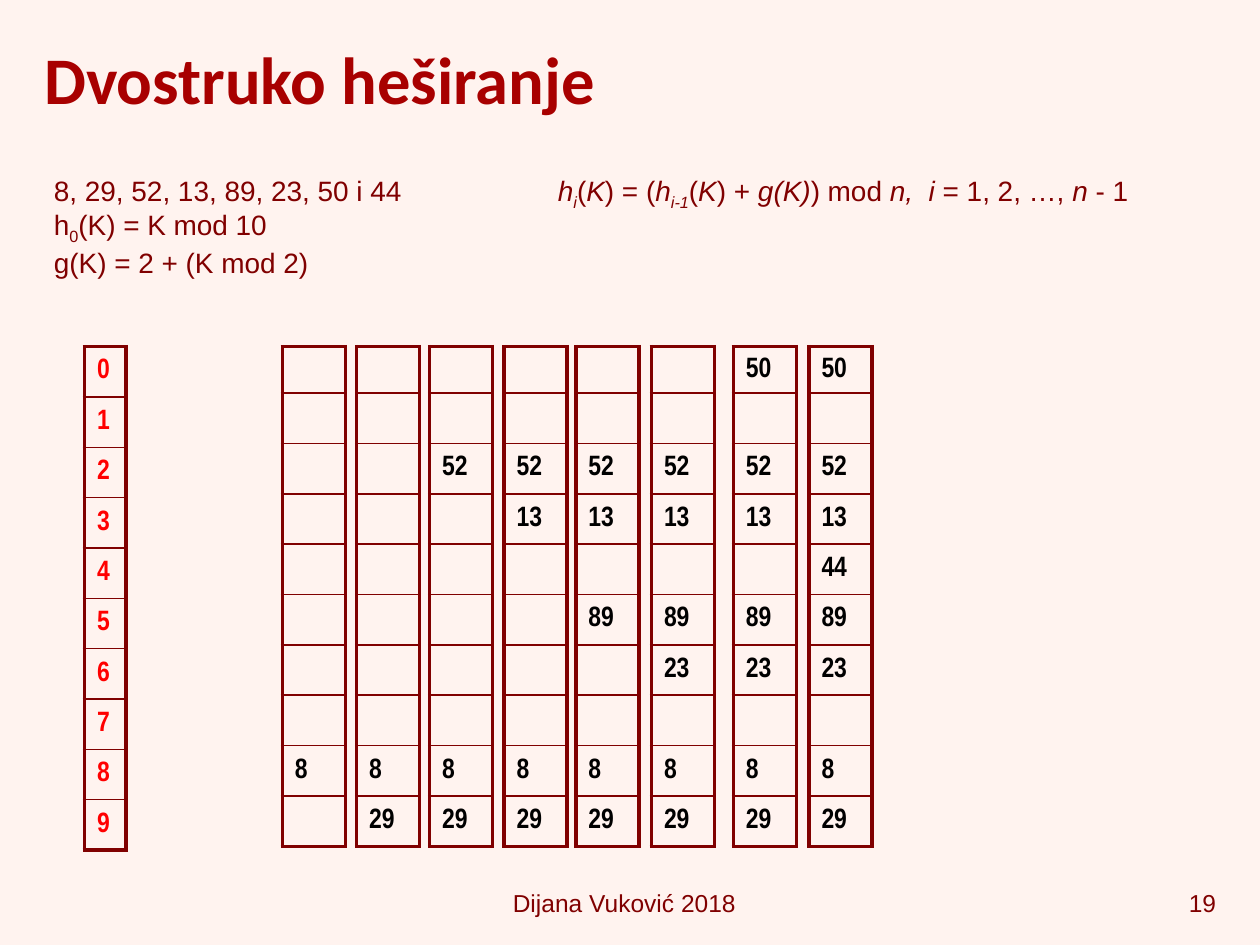
from lxml import etree
from pptx import Presentation
from pptx.dml.color import RGBColor as RGB
from pptx.enum.text import MSO_ANCHOR as Anchor, PP_ALIGN as Align
from pptx.oxml.ns import qn
from pptx.util import Inches, Pt

PAPER = RGB(0xFF, 0xF3, 0xEF)
MAROON = RGB(0x80, 0x00, 0x00)
CRIMSON = RGB(0xA8, 0x00, 0x00)
RED = RGB(0xFF, 0x00, 0x00)
BLACK = RGB(0x00, 0x00, 0x00)

WIDE, HIGH = Inches(10), Inches(7.5)
SIZE = 10
KEYS = [8, 29, 52, 13, 89, 23, 50, 44]
LEFTS = [22.4, 28.3, 34.1, 40, 45.7, 51.7, 58.2, 64.2]
TOP = 36.67
ROW = 5.33
THICK, THIN = 2.25, 1

FORMULA = [
    ("h", "i"), ("i", "is"), ("(", ""), ("K", "i"), (") = (", ""),
    ("h", "i"), ("i-1", "is"), ("(", ""), ("K", "i"), (") + ", ""),
    ("g(K)", "i"), (") mod ", ""), ("n,  i", "i"),
    (" = 1, 2, …, ", ""), ("n ", "i"), ("- 1", ""),
]
RULES = [
    [(", ".join(map(str, KEYS[:-1])) + f" i {KEYS[-1]}", "")],
    [("h", ""), ("0", "s"), ("(K) = K mod 10", "")],
    [("g(K) = 2 + (K mod 2)", "")],
]


def across(share):
    return round(WIDE * share / 100)


def down(share):
    return round(HIGH * share / 100)


def area(x, y, w, h):
    return across(x), down(y), across(w), down(h)


def add_run(para, text, face, size, color, style=""):
    run = para.add_run()
    run.text = text
    font = run.font
    font.name, font.size = face, Pt(size)
    font.color.rgb = color
    font.bold = "b" in style
    font.italic = "i" in style
    if "s" in style:
        run._r.get_or_add_rPr().set("baseline", "-25000")


def add_text(slide, place, lines, size=16, align=Align.LEFT):
    frame = slide.shapes.add_textbox(*area(*place)).text_frame
    frame.word_wrap = True
    for i, line in enumerate(lines):
        para = frame.add_paragraph() if i else frame.paragraphs[0]
        para.alignment = align
        for text, style in line:
            add_run(para, text, "Arial", size, MAROON, style)


def add_title(slide, text):
    title = slide.shapes.title
    title.left, title.top, title.width, title.height = area(2.5, 1.07, 95, 14.4)
    frame = title.text_frame
    frame.vertical_anchor = Anchor.MIDDLE
    para = frame.paragraphs[0]
    para.alignment = Align.LEFT
    add_run(para, text, "Calibri", 38, CRIMSON, "b")


def add_edges(cell, top, base):
    props = cell._tc.get_or_add_tcPr()
    for side, width in zip("LRTB", (THICK, THICK, top, base)):
        line = etree.SubElement(props, qn(f"a:ln{side}"), w=str(Pt(width)))
        fill = etree.SubElement(line, qn("a:solidFill"))
        etree.SubElement(fill, qn("a:srgbClr"), val=str(MAROON))


def add_column(slide, left, width, slots, color, first):
    tall = first + ROW * (SIZE - 1)
    place = area(left, TOP, width, tall)
    table = slide.shapes.add_table(SIZE, 1, *place).table
    table.first_row = table.horz_banding = False
    for i, value in enumerate(slots):
        table.rows[i].height = down(ROW if i else first)
        cell = table.cell(i, 0)
        cell.margin_top = cell.margin_bottom = Inches(0.03)
        cell.vertical_anchor = Anchor.MIDDLE
        add_edges(cell, THIN if i else THICK, THICK if i == SIZE - 1 else THIN)
        cell.fill.background()
        if value is not None:
            para = cell.text_frame.paragraphs[0]
            add_run(para, str(value), "Arial Narrow", 16, color, "b")


def hash_steps():
    slots = [None] * SIZE
    for key in KEYS:
        spot = key % SIZE
        while slots[spot] is not None:
            spot = (spot + 2 + key % 2) % SIZE
        slots[spot] = key
        yield list(slots)


def main():
    deck = Presentation()
    deck.slide_width, deck.slide_height = WIDE, HIGH
    slide = deck.slides.add_slide(deck.slide_layouts[5])
    back = slide.background.fill
    back.solid()
    back.fore_color.rgb = PAPER

    add_text(slide, (37.4, 93.33, 24.3, 4.4), [[("Dijana Vuković 2018", "")]], 14, Align.CENTER)
    add_text(slide, (77.5, 93.33, 20, 4.4), [[("19", "")]], 14, Align.RIGHT)
    add_title(slide, "Dvostruko heširanje")
    add_text(slide, (43.3, 17.73, 57.2, 4.93), [FORMULA])
    add_column(slide, 6.7, 3.3, range(SIZE), RED, ROW)
    for left, slots in zip(LEFTS, hash_steps()):
        add_column(slide, left, 5, slots, BLACK, 4.93)
    add_text(slide, (3.3, 17.73, 50, 13.47), RULES)
    deck.save("out.pptx")


if __name__ == "__main__":
    main()
